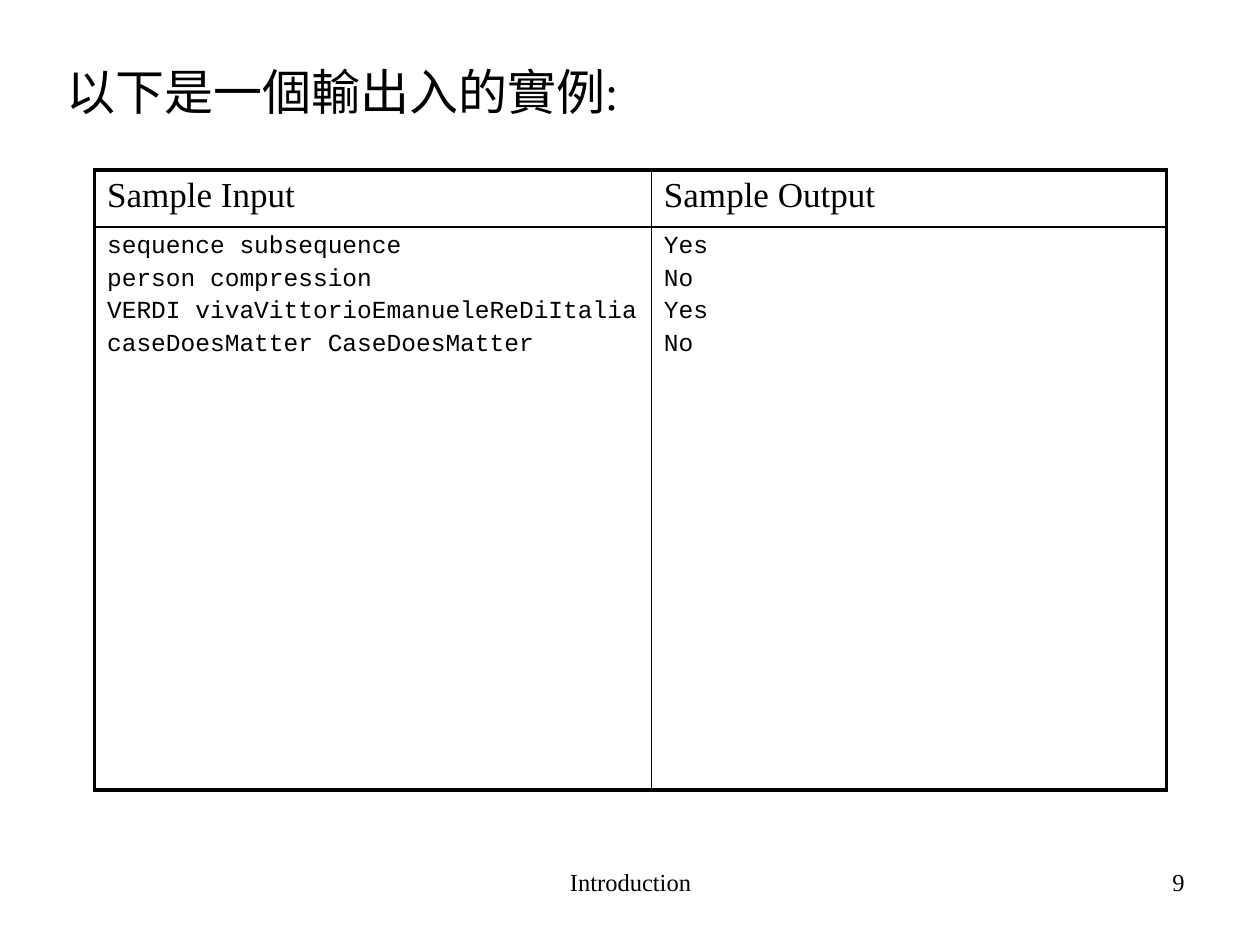
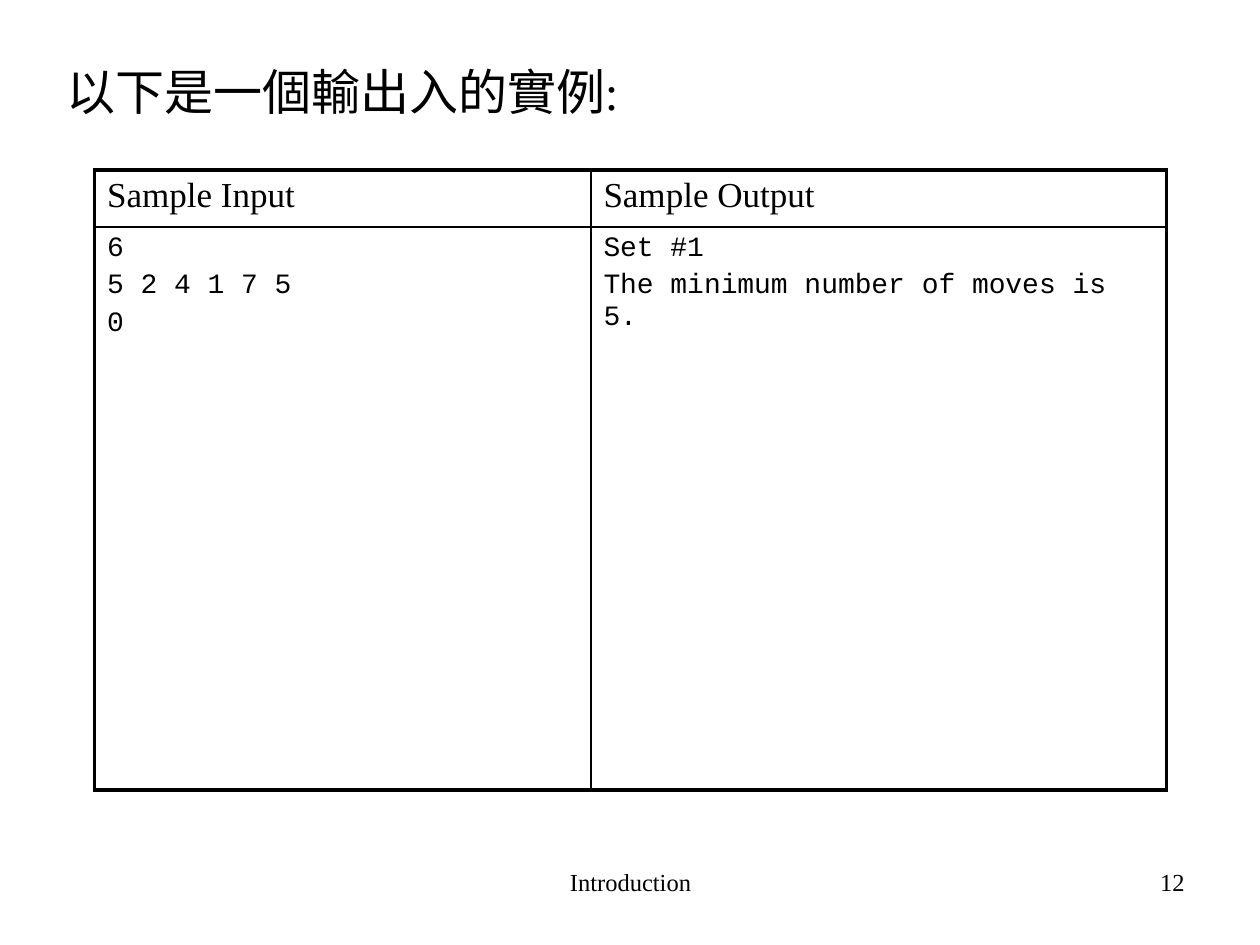
from lxml import etree
from pptx import Presentation
from pptx.dml.color import RGBColor
from pptx.enum.text import MSO_ANCHOR, MSO_AUTO_SIZE, PP_ALIGN
from pptx.oxml.ns import qn
from pptx.util import Inches, Pt

TITLE = "以下是一個輸出入的實例:"
FOOTER = "Introduction"
HEADINGS = ["Sample Input", "Sample Output"]
EXAMPLES = [
    {
        "number": "9",
        "input": [
            "sequence subsequence",
            "person compression",
            "VERDI vivaVittorioEmanueleReDiItalia",
            "caseDoesMatter CaseDoesMatter",
        ],
        "output": ["Yes", "No", "Yes", "No"],
        "size": 14,
        "input_width": 4.42,
    },
    {
        "number": "12",
        "input": ["6", "5 2 4 1 7 5", "0"],
        "output": ["Set #1", "The minimum number of moves is 5."],
        "size": 16,
        "input_width": 3.94,
    },
]

INK = "000000"
SERIF, MONO = "Times New Roman", "Courier New"
TABLE_LEFT, TABLE_TOP, TABLE_WIDTH = 0.75, 1.35, 8.51
ROW_HEIGHTS = [0.45, 4.47]
OUTER_LINE, INNER_LINE = 2.25, 1


def color(hex_value):
    return RGBColor.from_string(hex_value)


def write(frame, lines, size, font=SERIF, align=PP_ALIGN.LEFT, gap=0.2):
    """Fill a frame with one paragraph per line; gap is a share of the size."""
    frame.text = "\n".join(lines)
    for paragraph in frame.paragraphs:
        paragraph.alignment = align
        paragraph.space_before = Pt(size * gap)
        paragraph.font.name = font
        paragraph.font.size = Pt(size)
        paragraph.font.color.rgb = color(INK)


def add_title(slide):
    title = slide.shapes.title
    title.left, title.top = Inches(0.43), Inches(0.44)
    title.width, title.height = Inches(9), Inches(0.7)
    frame = title.text_frame
    frame.auto_size = MSO_AUTO_SIZE.NONE
    frame.vertical_anchor = MSO_ANCHOR.TOP
    write(frame, [TITLE], 28)


def add_footer(slide, text, left, width, align):
    box = slide.shapes.add_textbox(
        Inches(left), Inches(6.83), Inches(width), Inches(0.52))
    box.text_frame.word_wrap = True
    write(box.text_frame, [text], 14, align=align, gap=0)


def set_borders(cell, row, column):
    """Draw heavy lines on the table's outside and thin ones within."""
    outer_sides = {"L": column == 0, "R": column == 1,
                   "T": row == 0, "B": row == 1}
    properties = cell._tc.get_or_add_tcPr()
    for side, is_outer in outer_sides.items():
        width = Pt(OUTER_LINE if is_outer else INNER_LINE)
        line = etree.SubElement(properties, qn(f"a:ln{side}"), w=str(width))
        fill = etree.SubElement(line, qn("a:solidFill"))
        etree.SubElement(fill, qn("a:srgbClr"), val=INK)


def add_example_table(slide, example):
    table = slide.shapes.add_table(
        2, 2, Inches(TABLE_LEFT), Inches(TABLE_TOP),
        Inches(TABLE_WIDTH), Inches(sum(ROW_HEIGHTS))).table
    table.first_row = table.horz_banding = False
    input_width = example["input_width"]
    for column, width in zip(table.columns,
                             [input_width, TABLE_WIDTH - input_width]):
        column.width = Inches(width)
    for row, height in zip(table.rows, ROW_HEIGHTS):
        row.height = Inches(height)

    samples = [example["input"], example["output"]]
    for column, (heading, sample) in enumerate(zip(HEADINGS, samples)):
        write(table.cell(0, column).text_frame, [heading], 20)
        write(table.cell(1, column).text_frame, sample, example["size"], MONO)
        for row in range(2):
            cell = table.cell(row, column)
            set_borders(cell, row, column)
            cell.fill.background()


def main():
    deck = Presentation()
    deck.slide_width, deck.slide_height = Inches(10), Inches(7.5)
    title_only = deck.slide_layouts[5]
    for example in EXAMPLES:
        slide = deck.slides.add_slide(title_only)
        add_title(slide)
        add_example_table(slide, example)
        add_footer(slide, FOOTER, 3.42, 3.17, PP_ALIGN.CENTER)
        add_footer(slide, example["number"], 7.17, 2.33, PP_ALIGN.RIGHT)
    deck.save("out.pptx")


if __name__ == "__main__":
    main()
